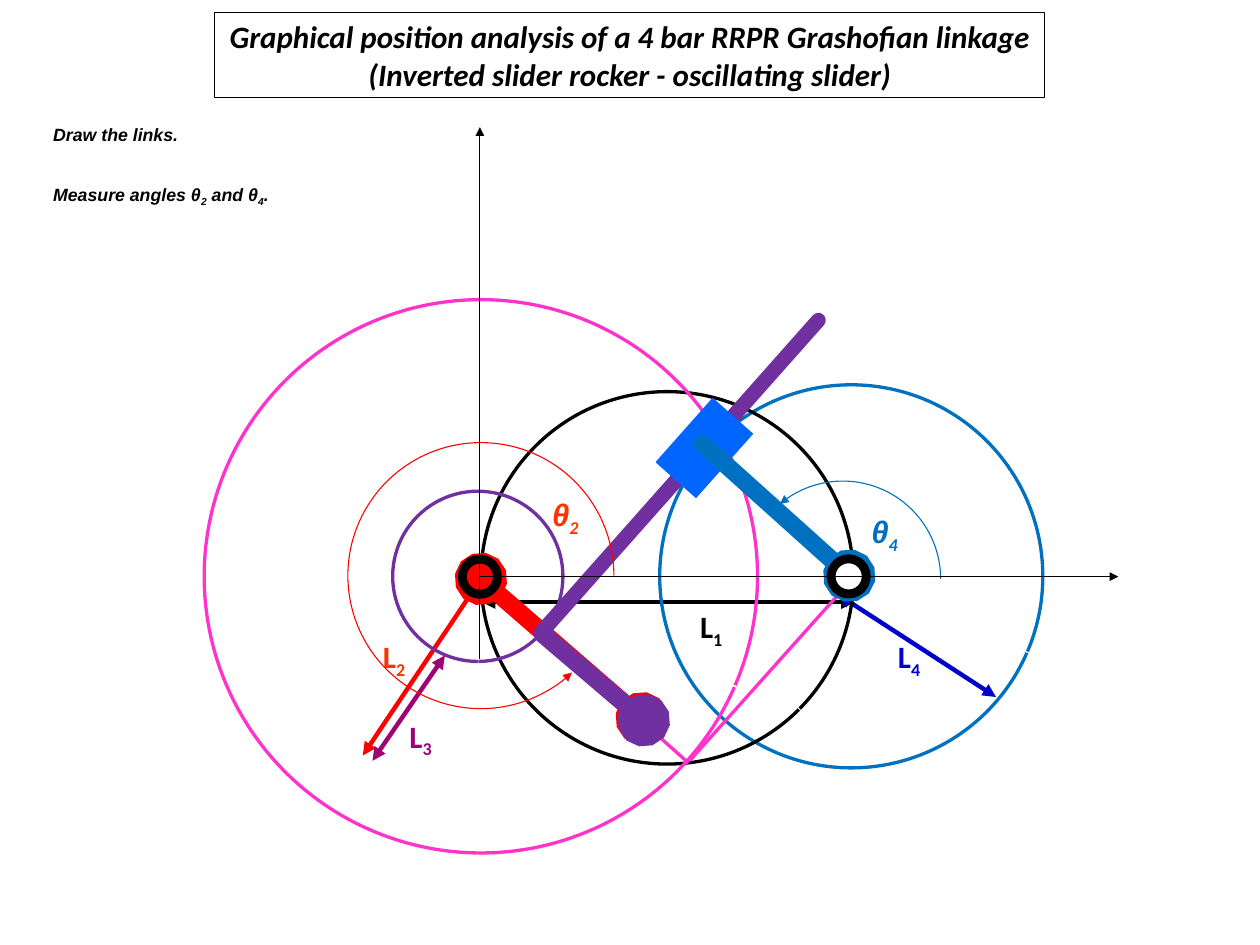
from collections import namedtuple
from dataclasses import dataclass

from lxml import etree
from pptx import Presentation
from pptx import util as u
from pptx.dml import color
from pptx.enum import shapes, text
from pptx.oxml import ns


@dataclass(frozen=True)
class Theme:
    black: str = "000000"
    white: str = "FFFFFF"
    crank: str = "FF0000"
    crank_label: str = "FF3300"
    offset: str = "7030A0"
    offset_label: str = "9D0375"
    rocker: str = "0070C0"
    rocker_label: str = "0000CC"
    slider: str = "0066FF"
    construction: str = "FF33CC"
    heading_font: str = "Calibri"
    body_font: str = "Arial"
    heading_size: float = 21
    body_size: float = 12
    hairline: float = 0.75
    outline: float = 2.25
    dimension: float = 3
    ring: float = 6
    rod: float = 10
    link: float = 12


THEME = Theme()
Box = namedtuple("Box", "left top width height")
SUBSCRIPT = "-25000"


def rgb(value):
    return color.RGBColor.from_string(value)


def finish_line(item, line_color, width, head=None, tail=None, cap=None):
    """Colour a line, set its width, its ends and its cap."""
    item.line.color.rgb = rgb(line_color)
    item.line.width = u.Pt(width)
    line_xml = item.line._get_or_add_ln()
    if cap:
        line_xml.set("cap", cap)
    for tag, kind in (("a:headEnd", head), ("a:tailEnd", tail)):
        if kind:
            etree.SubElement(line_xml, ns.qn(tag)).set("type", kind)


def add_line(slide, box, start, end, line_color, width, **ends):
    points = (box.left + start[0], box.top + start[1], box.left + end[0], box.top + end[1])
    connector = slide.shapes.add_connector(
        shapes.MSO_CONNECTOR.STRAIGHT, *(u.Pt(value) for value in points))
    finish_line(connector, line_color, width, **ends)
    etree.SubElement(connector._element.spPr, ns.qn("a:effectLst"))


def add_outline(slide, box, kind, line_color, width, fill=None, **ends):
    shape = slide.shapes.add_shape(kind, *(u.Pt(value) for value in box))
    shape.shadow.inherit = False
    if fill:
        shape.fill.solid()
        shape.fill.fore_color.rgb = rgb(fill)
    else:
        shape.fill.background()
    finish_line(shape, line_color, width, **ends)
    return shape


def around(box, center, width, height):
    """Box of the given size, centred on a point of the outer box."""
    return Box(box.left + center[0] - width / 2, box.top + center[1] - height / 2,
               width, height)


def add_arc(slide, box, center, radius, start, end, line_color, width, **ends):
    """Arc drawn clockwise between two angles in degrees."""
    arc = add_outline(slide, around(box, center, 2 * radius, 2 * radius),
                      shapes.MSO_SHAPE.ARC, line_color, width, **ends)
    for index, angle in enumerate((start, end)):
        arc.adjustments[index] = angle * 0.6


def write(shape, pieces, size, text_color, italic, margins, anchor, align):
    """Fill a shape with runs given as (text, font, is_subscript)."""
    frame = shape.text_frame
    frame.word_wrap = True
    frame.vertical_anchor = anchor
    frame.margin_left = frame.margin_right = u.Pt(margins[0])
    frame.margin_top = frame.margin_bottom = u.Pt(margins[1])
    paragraph = frame.paragraphs[0]
    paragraph.alignment = align
    for words, font_name, is_subscript in pieces:
        run = paragraph.add_run()
        run.text = words
        font = run.font
        font.name, font.size = font_name, u.Pt(size)
        font.bold, font.italic = True, italic
        font.color.rgb = rgb(text_color)
        if is_subscript:
            run._r.get_or_add_rPr().set("baseline", SUBSCRIPT)


def add_label(slide, box, place, symbol, index, text_color, font, italic=False):
    label = slide.shapes.add_textbox(u.Pt(box.left + place[0]), u.Pt(box.top + place[1]),
                                     u.Pt(36), u.Pt(36))
    write(label, [(symbol, font, False), (index, THEME.heading_font, True)],
          THEME.heading_size, text_color, italic, (7.2, 3.6),
          text.MSO_ANCHOR.TOP, text.PP_ALIGN.LEFT)


def add_title(slide, box):
    frame = add_outline(slide, box, shapes.MSO_SHAPE.RECTANGLE, THEME.black, THEME.hairline)
    words = ("Graphical position analysis of a 4 bar RRPR Grashofian linkage "
             "(Inverted slider rocker - oscillating slider)")
    write(frame, [(words, THEME.heading_font, False)], THEME.heading_size, THEME.black,
          True, (7.2, 3.6), text.MSO_ANCHOR.TOP, text.PP_ALIGN.CENTER)


def add_instructions(slide, box):
    steps = (
        (86.4, [("Draw the links.", False)]),
        (box.width, [("Measure angles θ", False), ("2", True), (" and θ", False),
                     ("4", True), (".", False)]),
    )
    height = 21.6
    for row, (width, pieces) in enumerate(steps):
        top = box.top + row * (box.height - height)
        step = add_outline(slide, Box(box.left, top, width, height),
                           shapes.MSO_SHAPE.HORIZONTAL_SCROLL, THEME.white, THEME.hairline)
        step.adjustments[0] = 0
        write(step, [(words, THEME.body_font, low) for words, low in pieces],
              THEME.body_size, THEME.black, True, (0, 0),
              text.MSO_ANCHOR.MIDDLE, text.PP_ALIGN.LEFT)


def add_dimensions(slide, box):
    dimensions = (
        ("1", (328.6, 321.5), (188.2, 321.5), (440.2, 321.5), THEME.black, THEME.black),
        ("2", (114, 341.7), (107.5, 425.2), (187.4, 305.7), THEME.crank, THEME.crank_label),
        ("3", (132, 395.7), (163, 357.5), (114, 428.8), THEME.offset_label, THEME.offset_label),
        ("4", (462.5, 341.7), (429.4, 316.5), (535.9, 385.6),
         THEME.rocker_label, THEME.rocker_label),
    )
    for index, place, start, end, line_color, text_color in dimensions:
        add_label(slide, box, place, "L", index, text_color, THEME.heading_font)
        add_line(slide, box, start, end, line_color, THEME.dimension,
                 head="triangle", tail="triangle")


def add_construction(slide, box):
    # Compass circles, each with a tiny gap where it closes
    for center, radius, start, line_color in (
            ((438, 304), 129.6, 23.5, THEME.rocker),
            ((313.4, 305), 126, 45, THEME.black),
            ((185.3, 304), 57.6, 90, THEME.offset),
            ((187.4, 304), 187.2, 23.6, THEME.construction)):
        add_arc(slide, box, center, radius, start, start - 0.4, line_color, THEME.outline)
    # Construction lines
    for start, end in (((438.7, 305.7), (328.6, 428.8)),
                       ((327.8, 430.2), (188.2, 305.7)),
                       ((340.8, 217.1), (230.6, 340.2))):
        add_line(slide, box, start, end, THEME.construction, THEME.outline)


def add_links(slide, box):
    # Crank, then the offset rod fixed to it
    add_line(slide, box, (187.4, 305.7), (296.2, 400), THEME.crank, THEME.link,
             head="oval", tail="oval")
    add_line(slide, box, (229.2, 343.1), (297.6, 401.4), THEME.offset, THEME.link,
             tail="oval", cap="rnd")
    add_line(slide, box, (227.8, 342.4), (415.7, 130.7), THEME.offset, THEME.rod, cap="rnd")
    # Slider block and rocker
    block = add_outline(slide, around(box, (338.6, 217.1), 57.6, 36),
                        shapes.MSO_SHAPE.RECTANGLE, THEME.slider, THEME.hairline, THEME.slider)
    block.rotation = 311.6
    add_line(slide, box, (337.2, 214.2), (436.6, 303.5), THEME.rocker, THEME.link,
             tail="oval", cap="rnd")


def add_angles(slide, box):
    for index, center, radius, start, line_color, place, text_color in (
            ("2", (187.4, 303.5), 90, 46.8, THEME.crank, (228.5, 245.9), THEME.crank_label),
            ("4", (432.2, 305.7), 66.2, 230, THEME.rocker, (444.5, 257.4), THEME.rocker)):
        add_arc(slide, box, center, radius, start, 0, line_color, THEME.hairline,
                head="triangle")
        add_label(slide, box, place, "θ", index, text_color, THEME.body_font, True)


def add_pivots_and_axes(slide, box):
    size, crank_x, ground_y = 23.8, 186.7, 304.2
    add_outline(slide, around(box, (436.2, 304), size, size), shapes.MSO_SHAPE.OVAL,
                THEME.black, THEME.ring, THEME.white)
    for start, end in (((crank_x, 359.7), (crank_x, 0)),
                       ((crank_x, ground_y), (box.width, ground_y))):
        add_line(slide, box, start, end, THEME.black, THEME.hairline, tail="triangle")
    add_outline(slide, around(box, (crank_x, ground_y), size, size), shapes.MSO_SHAPE.OVAL,
                THEME.black, THEME.ring)


def main():
    presentation = Presentation()
    presentation.slide_width, presentation.slide_height = u.Pt(852.5), u.Pt(639.4)
    slide = presentation.slides.add_slide(presentation.slide_layouts[6])
    add_instructions(slide, Box(36, 79.9, 151.2, 63.4))
    linkage = Box(138, 86, 618.7, 492)
    for add_part in (add_dimensions, add_construction, add_links, add_angles,
                     add_pivots_and_axes):
        add_part(slide, linkage)
    add_title(slide, Box(145.4, 8.6, 561.6, 57.6))
    presentation.save("out.pptx")


if __name__ == "__main__":
    main()
